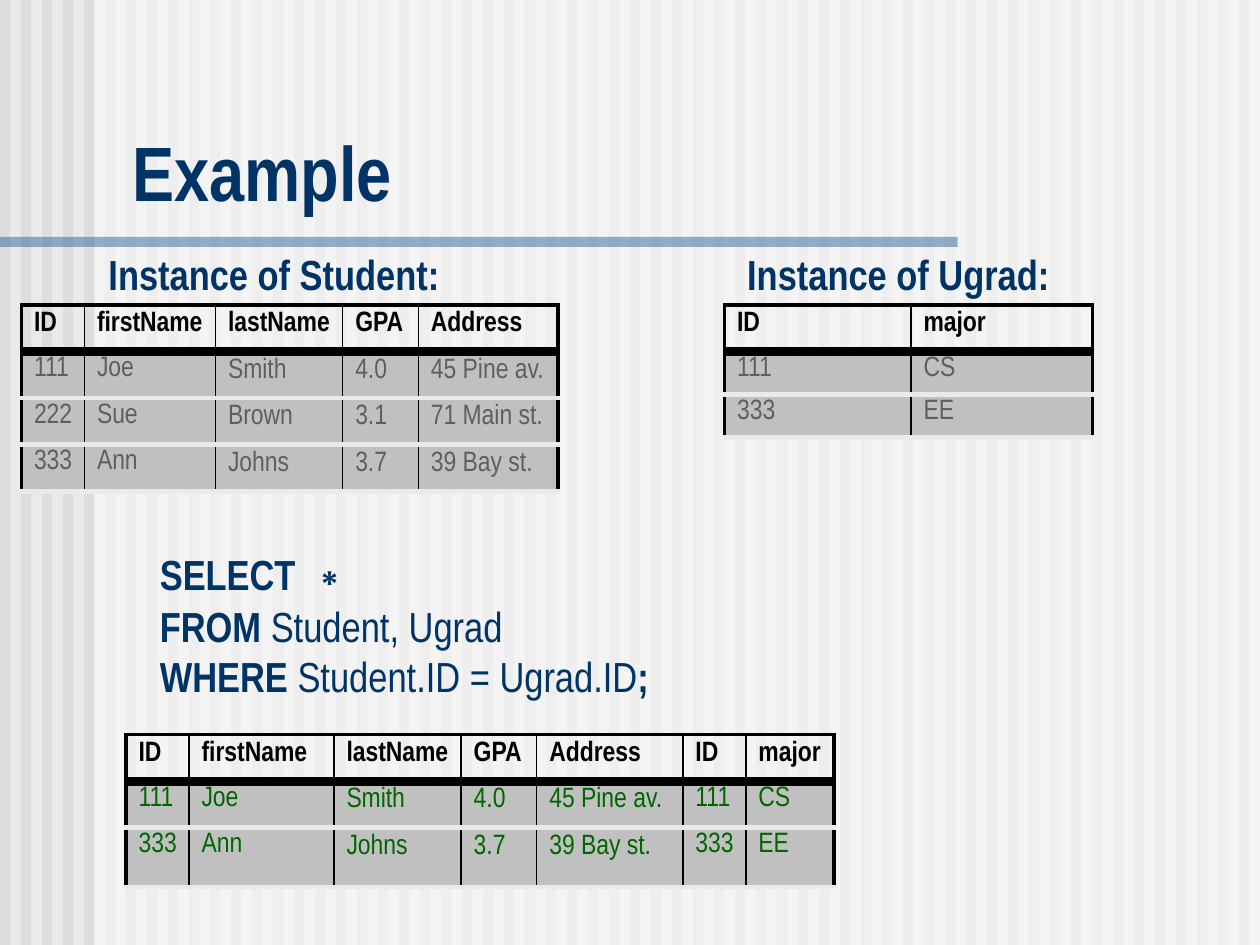
from dataclasses import dataclass

import pptx
import pptx.dml.color
import pptx.enum.shapes
import pptx.enum.text
import pptx.oxml
import pptx.oxml.ns
import pptx.util
from pptx.util import Inches

FONT = "Arial Narrow"
COLORS = {
    "background": "EAEAEA", "stripe": "DDDDDD", "panel": "FFFFFF",
    "rule": "336699", "navy": "003366", "black": "000000",
    "gray": "5F5F5F", "green": "006600", "cell": "C0C0C0",
}
TIGHT_COLUMNS = {"ID", "firstName", "major"}
STRIPES = 60
THIN, FRAME, GAP, HEADER = 1, 2.25, 3, 6

Run = tuple[str, float, bool]  # text, size, bold


@dataclass
class TextBox:
    left: float
    top: float
    width: float
    height: float
    lines: list[list[Run]]
    align: str = "LEFT"
    wrap: bool = True


@dataclass
class Relation:
    left: float
    top: float
    widths: list[float]
    heights: list[float]
    rows: list[list[str]]
    color: str


TEXT_BOXES = [
    TextBox(5.83, 1.92, 2.6, 0.5, [[("Instance of Ugrad:", 24, True)]], "CENTER", False),
    TextBox(0.76, 1.92, 2.83, 0.5, [[("Instance of Student:", 24, True)]], "CENTER", False),
    TextBox(1.17, 4.25, 4.25, 1.37, [
        [("SELECT ", 24, True), ("∗", 28, True)],
        [("FROM ", 24, True), ("Student, Ugrad", 24, False)],
        [("WHERE", 24, True), (" Student.ID = Ugrad.ID", 24, False), (";", 24, True)],
    ]),
]

RELATIONS = [
    Relation(1, 5.83, [0.5, 1.15, 1.01, 0.6, 1.16, 0.5, 0.7], [0.37, 0.37, 0.47], [
        ["ID", "firstName", "lastName", "GPA", "Address", "ID", "major"],
        ["111", "Joe", "Smith", "4.0", "45 Pine av.", "111", "CS"],
        ["333", "Ann", "Johns", "3.7", "39 Bay st.", "333", "EE"],
    ], "green"),
    Relation(0.17, 2.42, [0.5, 1.04, 1.01, 0.6, 1.11], [0.37] * 4, [
        ["ID", "firstName", "lastName", "GPA", "Address"],
        ["111", "Joe", "Smith", "4.0", "45 Pine av."],
        ["222", "Sue", "Brown", "3.1", "71 Main st."],
        ["333", "Ann", "Johns", "3.7", "39 Bay st."],
    ], "gray"),
    Relation(5.75, 2.42, [1.48, 1.44], [0.37, 0.34, 0.34], [
        ["ID", "major"],
        ["111", "CS"],
        ["333", "EE"],
    ], "gray"),
]


def rgb(name: str) -> pptx.dml.color.RGBColor:
    return pptx.dml.color.RGBColor.from_string(COLORS[name])


def add_run(p, text: str, size: float, bold: bool, color: str) -> None:
    r = p.add_run()
    r.text = text
    formats = {"name": FONT, "size": pptx.util.Pt(size), "bold": bold}
    for attr, value in formats.items():
        setattr(r.font, attr, value)
    r.font.color.rgb = rgb(color)


def add_rect(s, left: float, top: float, width: float, height: float,
             color: str, alpha: int = 100) -> None:
    """Add a borderless rectangle; alpha is its opacity in percent."""
    sp = s.shapes.add_shape(pptx.enum.shapes.MSO_SHAPE.RECTANGLE,
                            Inches(left), Inches(top), Inches(width), Inches(height))
    sp.shadow.inherit = False
    sp.line.fill.background()
    sp.fill.solid()
    sp.fill.fore_color.rgb = rgb(color)
    if alpha < 100:
        clr = sp.element.spPr.find(".//" + pptx.oxml.ns.qn("a:srgbClr"))
        clr.append(pptx.oxml.parse_xml(
            f'<a:alpha {pptx.oxml.ns.nsdecls("a")} val="{alpha * 1000}"/>'))


def add_background(s) -> None:
    s.background.fill.solid()
    s.background.fill.fore_color.rgb = rgb("background")
    for i in range(STRIPES):
        add_rect(s, i * 10 / STRIPES, 0, 0.08, 7.5, "stripe")
    add_rect(s, 0.75, 0, 9.25, 7.5, "panel", 50)
    add_rect(s, 0, 1.88, 7.6, 0.08, "rule", 50)


def add_title(s, text: str) -> None:
    title = s.shapes.title
    title.element.getparent().append(title.element)  # in front of the background
    box = {"left": 0.95, "top": 0.94, "width": 8.93, "height": 0.83}
    for attr, value in box.items():
        setattr(title, attr, Inches(value))
    tf = title.text_frame
    tf.vertical_anchor = pptx.enum.text.MSO_ANCHOR.BOTTOM
    p = tf.paragraphs[0]
    p.alignment = pptx.enum.text.PP_ALIGN.LEFT
    add_run(p, text, 44, True, "navy")


def add_text_box(s, box: TextBox) -> None:
    sp = s.shapes.add_textbox(Inches(box.left), Inches(box.top),
                              Inches(box.width), Inches(box.height))
    tf = sp.text_frame
    tf.word_wrap = box.wrap
    for i, line in enumerate(box.lines):
        p = tf.add_paragraph() if i else tf.paragraphs[0]
        p.alignment = pptx.enum.text.PP_ALIGN[box.align]
        for text, size, bold in line:
            add_run(p, text, size, bold, "navy")


def set_borders(cell, borders: dict[str, tuple[str, float]]) -> None:
    tc_pr = cell._tc.get_or_add_tcPr()
    for side, (color, width) in borders.items():
        tc_pr.append(pptx.oxml.parse_xml(
            f'<a:ln{side} {pptx.oxml.ns.nsdecls("a")} w="{pptx.util.Pt(width)}">'
            f'<a:solidFill><a:srgbClr val="{COLORS[color]}"/></a:solidFill></a:ln{side}>'))


def add_relation(s, rel: Relation) -> None:
    header = rel.rows[0]
    table = s.shapes.add_table(len(rel.rows), len(header), Inches(rel.left), Inches(rel.top),
                               Inches(sum(rel.widths)), Inches(sum(rel.heights))).table
    table.first_row = table.horz_banding = False
    for column, width in zip(table.columns, rel.widths):
        column.width = Inches(width)
    # Horizontal edges from the top of the table to its bottom
    edges = [("black", FRAME), ("black", HEADER)] + [("background", GAP)] * (len(rel.rows) - 1)
    for i, row in enumerate(rel.rows):
        table.rows[i].height = Inches(rel.heights[i])
        for j, text in enumerate(row):
            cell = table.cell(i, j)
            cell.margin_right = Inches(0.05)  # keeps three-digit IDs on one line
            set_borders(cell, {
                "L": ("black", THIN if j else FRAME),
                "R": ("black", THIN if j < len(row) - 1 else FRAME),
                "T": edges[i],
                "B": edges[i + 1],
            })
            p = cell.text_frame.paragraphs[0]
            p.space_before = pptx.util.Pt(3.2)
            if i == 0:
                cell.fill.background()
            else:
                cell.fill.solid()
                cell.fill.fore_color.rgb = rgb("cell")
                if header[j] in TIGHT_COLUMNS:
                    p.line_spacing = 0.9
            add_run(p, text, 16, i == 0, rel.color if i else "black")


def main() -> None:
    prs = pptx.Presentation()
    prs.slide_width, prs.slide_height = Inches(10), Inches(7.5)
    s = prs.slides.add_slide(prs.slide_layouts.get_by_name("Title Only"))
    add_background(s)
    add_title(s, "Example")
    for box in TEXT_BOXES:
        add_text_box(s, box)
    for rel in RELATIONS:
        add_relation(s, rel)
    prs.save("out.pptx")


if __name__ == "__main__":
    main()
